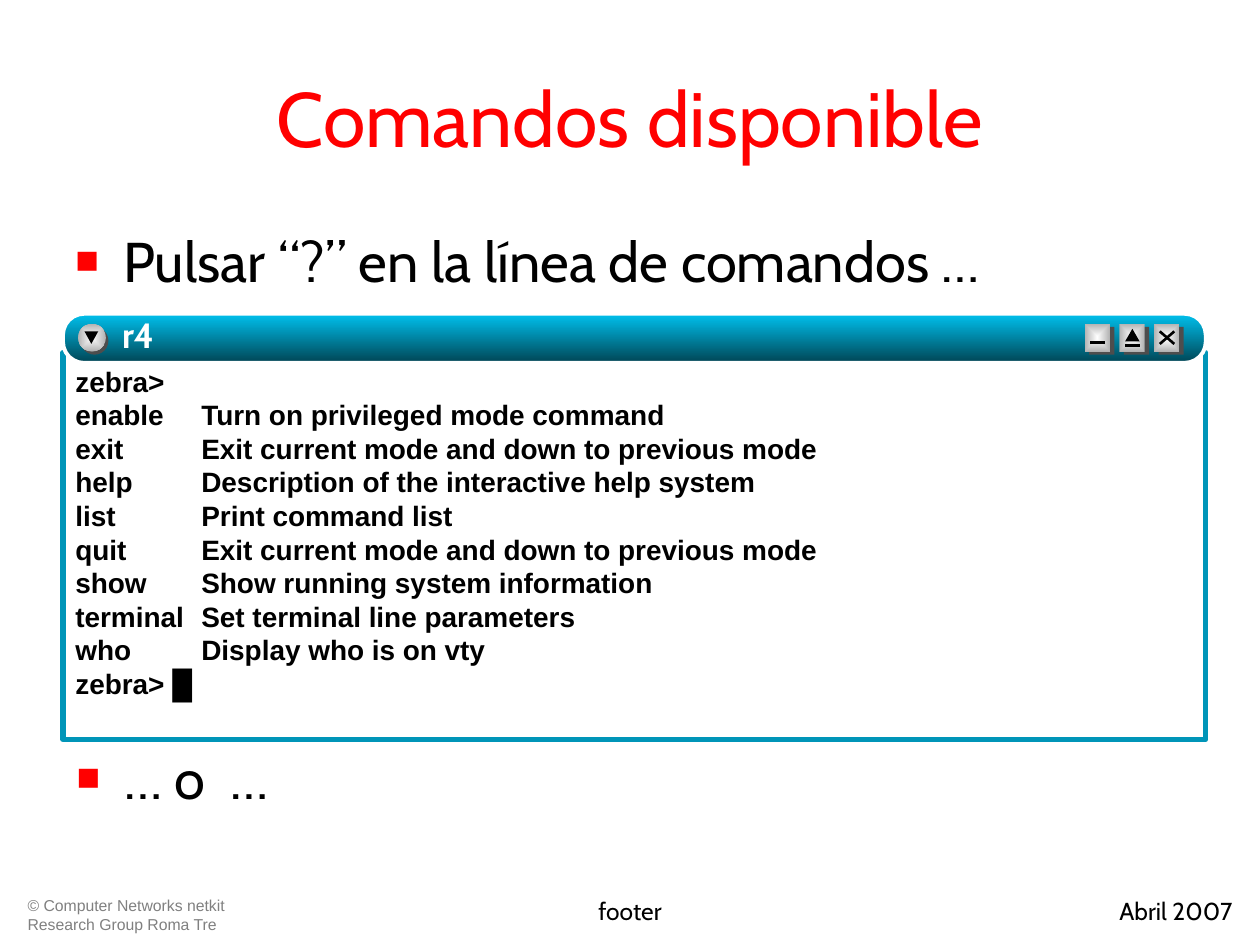
from lxml import etree
from pptx import Presentation
from pptx.dml.color import RGBColor
from pptx.enum.shapes import MSO_CONNECTOR, MSO_SHAPE
from pptx.enum.text import MSO_ANCHOR, PP_ALIGN
from pptx.oxml import parse_xml
from pptx.oxml.ns import nsdecls, qn
from pptx.util import Inches, Pt

RECTANGLE = MSO_SHAPE.RECTANGLE
ROUNDED = MSO_SHAPE.ROUNDED_RECTANGLE
OVAL = MSO_SHAPE.OVAL
TRIANGLE = MSO_SHAPE.ISOSCELES_TRIANGLE
STRAIGHT = MSO_CONNECTOR.STRAIGHT
LEFT, CENTER, RIGHT = PP_ALIGN.LEFT, PP_ALIGN.CENTER, PP_ALIGN.RIGHT
TOP, MIDDLE = MSO_ANCHOR.TOP, MSO_ANCHOR.MIDDLE

BLACK = RGBColor(0x00, 0x00, 0x00)
WHITE = RGBColor(0xFF, 0xFF, 0xFF)
RED = RGBColor(0xFF, 0x00, 0x00)
GRAY = RGBColor(0x80, 0x80, 0x80)
SHADE = RGBColor(0x4D, 0x4D, 0x4D)
TEAL = RGBColor(0x00, 0x95, 0xB8)
BAR_COLORS = RGBColor(0x00, 0xC1, 0xEE), RGBColor(0x00, 0x45, 0x55)
BUTTON_COLORS = RGBColor(0xFE, 0xFE, 0xFE), RGBColor(0xB2, 0xB2, 0xB2)

COLUMNS, ROWS = 100, 75
MARGINS = (0.1, 0.05, 0.1, 0.05)
BUTTON_TOP, BUTTON_SIZE = 25.7, 2.2

TERMINAL_LINES = [
    "zebra>",
    "enable \tTurn on privileged mode command",
    "exit \tExit current mode and down to previous mode",
    "help \tDescription of the interactive help system",
    "list \tPrint command list",
    "quit \tExit current mode and down to previous mode",
    "show \tShow running system information",
    "terminal \tSet terminal line parameters",
    "who \tDisplay who is on vty",
    "zebra> █",
]


class SlideBuilder:
    font = "Cabin"
    mono_font = "Arial"

    def __init__(self, deck):
        self.slide = deck.slides.add_slide(deck.slide_layouts[6])
        self.column = deck.slide_width / COLUMNS
        self.row = deck.slide_height / ROWS

    def place(self, left, top, width, height):
        return (int(left * self.column), int(top * self.row),
                int(width * self.column), int(height * self.row))

    def set_text(self, box, lines, size, color, font=None, bold=False,
                 align=LEFT, anchor=TOP, margins=MARGINS):
        frame = box.text_frame
        frame.word_wrap = True
        frame.vertical_anchor = anchor
        (frame.margin_left, frame.margin_top,
         frame.margin_right, frame.margin_bottom) = map(Inches, margins)
        frame.text = "\n".join(lines)
        for para in frame.paragraphs:
            para.alignment = align
            if "\t" in para.text:
                tabs = etree.SubElement(para._p.get_or_add_pPr(), qn("a:tabLst"))
                etree.SubElement(tabs, qn("a:tab"), pos=str(Inches(1)), algn="l")
            for span in para.runs:
                span.font.name = font or self.font
                span.font.size = Pt(size)
                span.font.bold = bold
                span.font.color.rgb = color
        return frame

    def text(self, area, lines, size, color, **style):
        box = self.slide.shapes.add_textbox(*self.place(*area))
        return self.set_text(box, lines, size, color, **style)

    def bullet(self, area, line):
        frame = self.text(area, [line], 32, BLACK)
        props = frame.paragraphs[0]._p.get_or_add_pPr()
        props.set("marL", str(Inches(0.38)))
        props.set("indent", str(Inches(-0.38)))
        color = etree.SubElement(props, qn("a:buClr"))
        etree.SubElement(color, qn("a:srgbClr"), val=str(RED))
        etree.SubElement(props, qn("a:buSzPct"), val="70000")
        etree.SubElement(props, qn("a:buFont"), typeface=self.mono_font)
        etree.SubElement(props, qn("a:buChar"), char="■")

    def text_shadow(self, frame):
        fill = frame.paragraphs[0].runs[0]._r.rPr.find(qn("a:solidFill"))
        fill.addnext(parse_xml(
            f'<a:effectLst {nsdecls("a")}><a:outerShdw dist="25400" dir="2700000">'
            f'<a:srgbClr val="{BLACK}"/></a:outerShdw></a:effectLst>'))

    def shape(self, kind, area, fill=None, line=None, line_width=1):
        shape = self.slide.shapes.add_shape(kind, *self.place(*area))
        shape.shadow.inherit = False
        if fill is not None:
            shape.fill.solid()
            shape.fill.fore_color.rgb = fill
        if line is None:
            shape.line.fill.background()
        else:
            shape.line.color.rgb = line
            shape.line.width = Pt(line_width)
        return shape

    def gradient(self, shape, colors, from_center=False):
        shape.fill.gradient()
        for stop, color in zip(shape.fill.gradient_stops, colors):
            stop.color.rgb = color
        shape.fill.gradient_angle = 270
        if from_center:
            linear = shape._element.spPr.find(qn("a:gradFill")).find(qn("a:lin"))
            linear.getparent().replace(linear, parse_xml(
                f'<a:path {nsdecls("a")} path="rect"><a:fillToRect '
                'l="50000" t="50000" r="50000" b="50000"/></a:path>'))

    def button(self, kind, left, width, shade_shift):
        self.shape(kind, (left + shade_shift, BUTTON_TOP + 0.25, width, BUTTON_SIZE), SHADE)
        face = self.shape(kind, (left, BUTTON_TOP, width, BUTTON_SIZE))
        self.gradient(face, BUTTON_COLORS, from_center=True)

    def line(self, left, start_row, right, end_row):
        start_x, start_y, end_x, end_y = self.place(left, start_row, right, end_row)
        line = self.slide.shapes.add_connector(STRAIGHT, start_x, start_y, end_x, end_y)
        line.line.color.rgb = BLACK
        line.line.width = Pt(1.5)
        etree.SubElement(line._element.spPr, qn("a:effectLst"))


def draw_window(page):
    terminal = page.shape(RECTANGLE, (5, 28, 90.7, 30.7), WHITE, TEAL, 3)
    page.set_text(terminal, TERMINAL_LINES, 16, BLACK, font=page.mono_font,
                  bold=True, margins=(0.1, 0.09, 0.1, 0.05))

    bar = page.shape(ROUNDED, (5, 24.9, 90.7, 3.9), line=WHITE, line_width=2.25)
    bar.adjustments[0] = 0.43
    page.gradient(bar, BAR_COLORS)

    page.button(OVAL, 6.2, 2.2, 0.2)
    arrow = page.shape(TRIANGLE, (6.7, 26.3, 1.1, 1), BLACK)
    arrow._element.spPr.find(qn("a:xfrm")).set("flipV", "1")

    minimize, maximize, close = (86.1 + 2.75 * index for index in range(3))
    for left in (minimize, maximize, close):
        page.button(RECTANGLE, left, 2, 0.35)
    page.line(minimize + 0.45, 27.2, minimize + 1.6, 27.2)
    page.line(maximize + 0.45, 27.4, maximize + 1.6, 27.4)
    page.shape(TRIANGLE, (maximize + 0.45, 26.1, 1.15, 1), BLACK)
    page.line(close + 0.45, 27.3, close + 1.6, 26.3)
    page.line(close + 0.45, 26.3, close + 1.6, 27.3)

    name = page.text((9.7, 24.9, 26, 3.9), ["r4"], 20, WHITE,
                     bold=True, margins=(0, 0, 0, 0))
    page.text_shadow(name)


def main():
    deck = Presentation()
    deck.slide_width, deck.slide_height = Inches(10), Inches(7.5)
    page = SlideBuilder(deck)

    page.text((1.2, 70.6, 18.9, 3.6),
              ["© Computer Networks netkit", "Research Group Roma Tre"],
              9, GRAY, font=page.mono_font)
    page.text((5, 3, 90, 12.5), ["Comandos disponible"], 44, RED,
              align=CENTER, anchor=MIDDLE)
    page.bullet((5, 17.5, 90, 7.4), "Pulsar “?” en la línea de comandos …")
    draw_window(page)
    page.bullet((5.1, 58.5, 90, 7.4), "… o  …")
    page.text((25.6, 70.6, 48.8, 3.6), ["footer"], 14, BLACK, align=CENTER)
    page.text((76, 70.6, 22.8, 3.6), ["Abril 2007"], 14, BLACK, align=RIGHT)

    deck.save("out.pptx")


if __name__ == "__main__":
    main()
